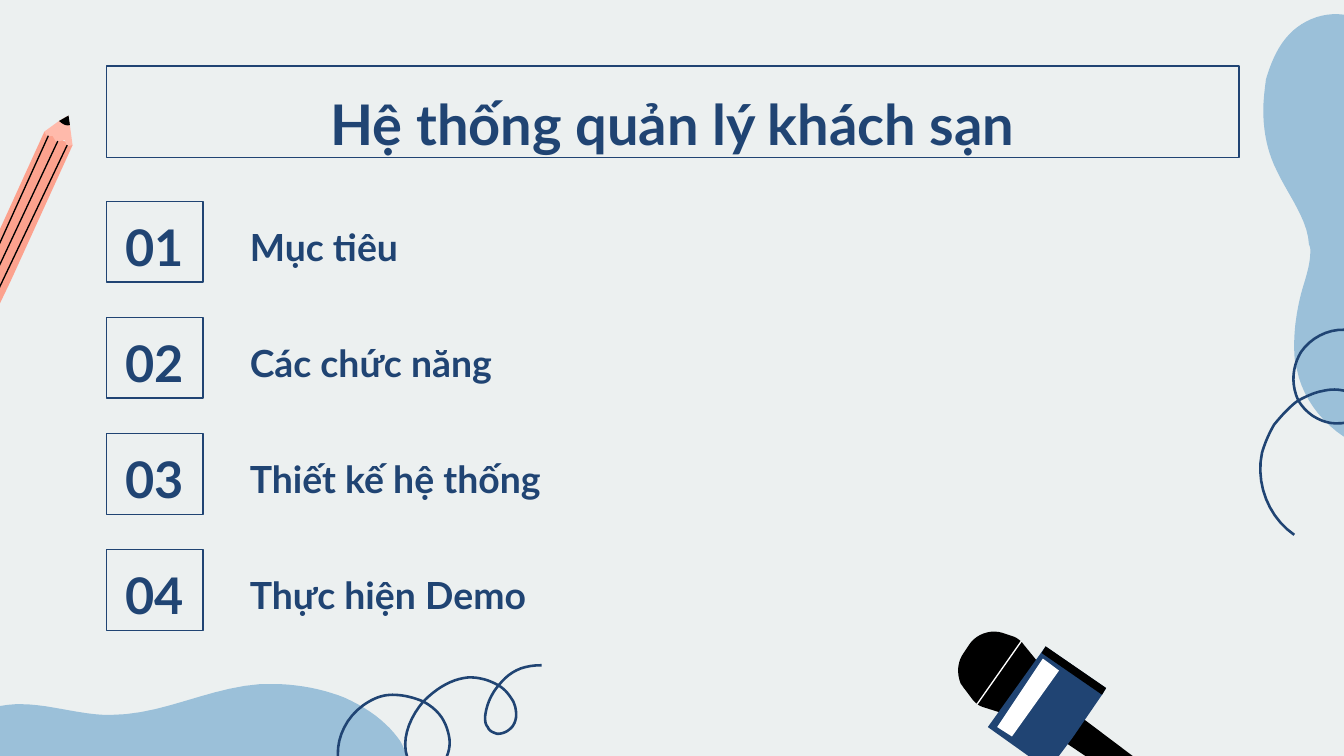
import pptx
import pptx.util
import pptx.dml.color
import pptx.enum.shapes
import pptx.enum.text
import lxml.etree

WIDE = 10
HIGH = WIDE * 9 / 16
NAVY, BLUE, BLACK, WHITE = "204473", "9BC0D9", "000000", "FFFFFF"
PAPER, CORAL, PINK = "ECF0F0", "FCA28E", "FFBAAB"
FONT = "Lato"
TITLE = "Hệ thống quản lý khách sạn"
ITEMS = ["Mục tiêu", "Các chức năng", "Thiết kế hệ thống", "Thực hiện Demo"]

LEFT, TOP, LAST, ROW = 0.79, 1.5, 4.09, 0.6
STEP = (LAST - TOP) / (len(ITEMS) - 1)

BLOBS = [
    (BLUE, """M 9.4 .82 C 9.4 .98 9.43 1.13 9.5 1.27 C 9.59 1.46 9.73 1.63 9.74 1.82
     C 9.75 1.84 9.75 1.85 9.75 1.87 C 9.75 1.98 9.71 2.08 9.68 2.19
     C 9.65 2.31 9.63 2.44 9.63 2.56 C 9.63 2.62 9.63 2.69 9.65 2.75
     C 9.69 2.95 9.82 3.13 10 3.25 L 10 .11 C 9.86 .09 9.72 .14 9.62 .23
     C 9.51 .33 9.46 .46 9.42 .59 C 9.41 .67 9.4 .75 9.4 .82"""),
    (BLUE, """M -.5 5.65 C -.48 5.57 -.45 5.5 -.38 5.43 C -.28 5.33 -.09 5.25 .12 5.24
     C .13 5.24 .14 5.24 .15 5.24 C .36 5.24 .56 5.31 .78 5.32
     C .79 5.32 .8 5.32 .82 5.32 C 1.21 5.32 1.54 5.12 1.94 5.09
     C 1.97 5.09 2 5.09 2.03 5.09 C 2.22 5.09 2.41 5.13 2.56 5.19
     C 2.74 5.27 2.87 5.37 2.96 5.49 C 3 5.54 3.02 5.6 3.02 5.65"""),
]
CURLS = [
    """M 9.63 3.98 C 9.44 3.85 9.34 3.6 9.39 3.37 C 9.41 3.3 9.44 3.23 9.48 3.16
     C 9.53 3.1 9.59 3.03 9.66 2.98 C 9.72 2.95 9.78 2.92 9.84 2.91
     C 9.92 2.89 9.99 2.9 10.04 2.92 C 10.07 2.95 10.09 2.98 10.1 3.01
     C 10.1 3.04 10.1 3.06 10.08 3.09 C 10.05 3.14 10 3.15 9.97 3.15
     C 9.86 3.16 9.73 3.1 9.66 2.98 C 9.6 2.85 9.62 2.72 9.68 2.62
     C 9.77 2.49 9.94 2.42 10.1 2.47""",
    """M 2.53 5.72 C 2.48 5.55 2.55 5.36 2.7 5.25 C 2.77 5.2 2.84 5.17 2.92 5.17
     C 3 5.17 3.08 5.19 3.15 5.22 C 3.28 5.29 3.32 5.38 3.34 5.47
     C 3.36 5.56 3.33 5.65 3.27 5.71 C 3.23 5.74 3.2 5.76 3.17 5.75
     C 3.12 5.75 3.08 5.71 3.05 5.68 C 2.97 5.53 3.04 5.35 3.15 5.22
     C 3.26 5.11 3.37 5.05 3.49 5.04 C 3.57 5.04 3.64 5.06 3.71 5.1
     C 3.76 5.13 3.79 5.17 3.82 5.22 C 3.85 5.29 3.85 5.36 3.81 5.41
     C 3.78 5.44 3.75 5.46 3.7 5.46 C 3.67 5.45 3.64 5.44 3.63 5.41
     C 3.61 5.39 3.61 5.36 3.61 5.33 C 3.62 5.25 3.65 5.17 3.71 5.1
     C 3.79 5 3.88 4.95 4.03 4.95""",
]
MIC = [
    (BLACK, """M 7.15 5.09 C 7.16 5.1 7.17 5.12 7.18 5.13 L 7.24 5.21
     C 7.26 5.23 7.28 5.25 7.31 5.26 L 7.53 5.33 L 7.75 4.96 L 7.62 4.8
     C 7.6 4.77 7.57 4.75 7.55 4.74 L 7.46 4.71 C 7.37 4.68 7.26 4.72 7.21 4.8
     L 7.17 4.86 C 7.12 4.93 7.12 5.02 7.15 5.09"""),
    (BLACK, """M 7.77 5.42 L 8.47 5.89 C 8.51 5.92 8.56 5.91 8.6 5.87
     C 8.62 5.84 8.62 5.8 8.6 5.77 C 8.6 5.76 8.59 5.75 8.58 5.74 L 7.89 5.22"""),
    (NAVY, "M 7.35 5.41 L 7.8 5.73 L 7.98 5.49 L 8.2 5.17 L 8.23 5.12 L 7.78 4.81"),
    (WHITE, "M 7.42 5.41 L 7.53 5.48 L 7.88 4.99 L 7.76 4.9"),
    (BLACK, "M 7.75 4.86 L 8.2 5.17 L 8.23 5.12 L 7.78 4.81"),
]
PENCIL = [
    (CORAL, "M .54 1.08 L .08 2.09 L -.15 2.57 L -.35 2.47 L -.13 1.99 L .33 .98"),
    (PINK, """M .54 1.08 L .5 1.09 L .48 1.04 L .42 1.06 L .39 1.01 L .35 1.02
     L .33 .98 L .44 .9 L .51 .86 L .52 .93"""),
    (BLACK, "M .52 .93 C .49 .94 .46 .92 .44 .9 L .51 .86"),
]
RULES = [
    (WHITE, 7.6, 4.77, 7.27, 5.24),
    (BLACK, 0.5, 1.08, -0.2, 2.55),
    (BLACK, 0.43, 1.05, -0.26, 2.52),
    (BLACK, 0.36, 1.01, -0.31, 2.49),
]


def tint(code):
    return pptx.dml.color.RGBColor.from_string(code)


def inch(*nums):
    return [pptx.util.Inches(n) for n in nums]


def points(text, steps=10):
    dots = []
    for part in text.replace("C", "|").replace("L", "|").replace("M", "").split("|"):
        nums = [float(n) for n in part.split()]
        pairs = list(zip(nums[::2], nums[1::2]))
        if len(pairs) == 1:
            dots += pairs
            continue
        a, (b, c, d) = dots[-1], pairs
        for i in range(1, steps + 1):
            t = i / steps
            u = 1 - t
            dots.append(tuple(
                u**3 * a[k] + 3 * u * u * t * b[k] + 3 * u * t * t * c[k] + t**3 * d[k]
                for k in (0, 1)))
    return dots


def draw(shapes, text, fill=None):
    dots = [inch(*dot) for dot in points(text)]
    pen = shapes.build_freeform(*dots[0])
    pen.add_line_segments(dots[1:], close=fill is not None)
    form = pen.convert_to_shape()
    form.shadow.inherit = False
    if fill:
        form.fill.solid()
        form.fill.fore_color.rgb = tint(fill)
        form.line.fill.background()
    else:
        form.fill.background()
        edge(form, NAVY, 1.4)


def edge(shape, code, size):
    shape.line.color.rgb = tint(code)
    shape.line.width = pptx.util.Pt(size)


def rule(shapes, code, *ends):
    line = shapes.add_connector(pptx.enum.shapes.MSO_CONNECTOR.STRAIGHT, *inch(*ends))
    edge(line, code, 0.7)
    space = "http://schemas.openxmlformats.org/drawingml/2006/main"
    lxml.etree.SubElement(line._element.spPr, "{%s}effectLst" % space)


def write(shape, text, size, align, anchor):
    frame = shape.text_frame
    frame.text = text
    frame.word_wrap = True
    frame.auto_size = pptx.enum.text.MSO_AUTO_SIZE.NONE
    frame.vertical_anchor = anchor
    frame.margin_left = frame.margin_right = pptx.util.Inches(0.1)
    frame.margin_top = frame.margin_bottom = pptx.util.Inches(0.1)
    para = frame.paragraphs[0]
    para.alignment = align
    para.line_spacing = 1.15
    para.space_before = pptx.util.Pt(0)
    font = para.runs[0].font
    font.name, font.size, font.bold = FONT, pptx.util.Pt(size), True
    font.color.rgb = tint(NAVY)


def main():
    deck = pptx.Presentation()
    deck.slide_width, deck.slide_height = inch(WIDE, HIGH)
    slide = deck.slides.add_slide(deck.slide_layouts[5])
    slide.background.fill.solid()
    slide.background.fill.fore_color.rgb = tint(PAPER)
    shapes = slide.shapes
    align, anchor = pptx.enum.text.PP_ALIGN, pptx.enum.text.MSO_ANCHOR

    for fill, text in BLOBS:
        draw(shapes, text, fill)
    for text in CURLS:
        draw(shapes, text)

    head = shapes.title
    head.left, head.top, head.width, head.height = inch(LEFT, 0.49, 8.43, 0.68)
    edge(head, NAVY, 0.75)
    write(head, TITLE, 30, align.CENTER, anchor.TOP)

    for i, item in enumerate(ITEMS):
        top = TOP + i * STEP
        box = shapes.add_shape(pptx.enum.shapes.MSO_SHAPE.RECTANGLE,
                               *inch(LEFT, top, 0.72, ROW))
        box.shadow.inherit = False
        box.fill.background()
        edge(box, NAVY, 0.75)
        write(box, f"{i + 1:02d}", 27, align.CENTER, anchor.MIDDLE)
        label = shapes.add_textbox(*inch(1.76, top, 2.69, ROW))
        write(label, item, 20, align.LEFT, anchor.BOTTOM)

    for fill, text in MIC + PENCIL:
        draw(shapes, text, fill)
    for code, *ends in RULES:
        rule(shapes, code, *ends)
    deck.save("out.pptx")


if __name__ == "__main__":
    main()
